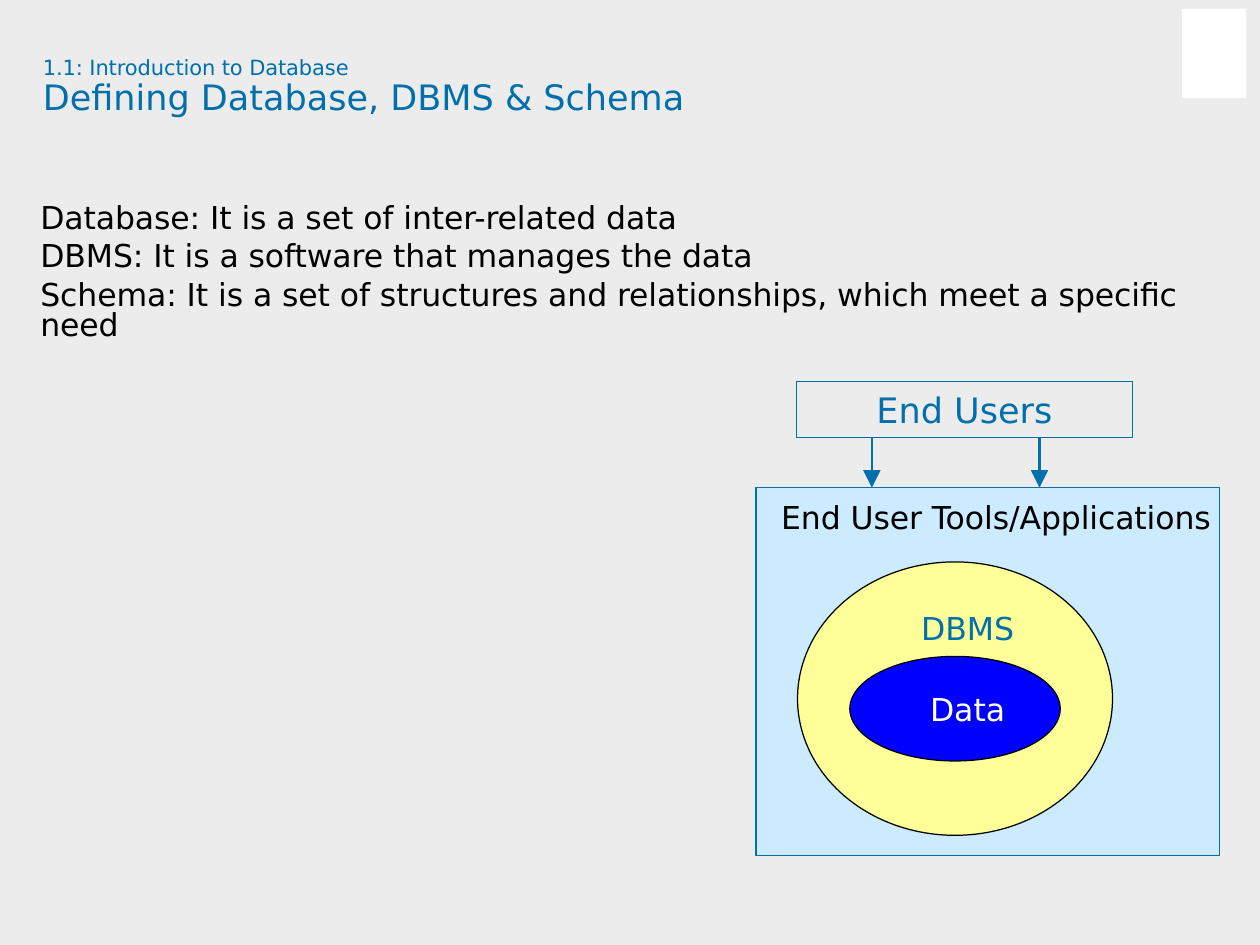
from lxml import etree
from pptx import Presentation
from pptx.dml.color import RGBColor
from pptx.enum.shapes import MSO_CONNECTOR, MSO_SHAPE
from pptx.enum.text import MSO_ANCHOR, PP_ALIGN
from pptx.oxml.ns import qn
from pptx.util import Inches, Pt

RECT, OVAL = MSO_SHAPE.RECTANGLE, MSO_SHAPE.OVAL
STRAIGHT = MSO_CONNECTOR.STRAIGHT
TOP, MIDDLE = MSO_ANCHOR.TOP, MSO_ANCHOR.MIDDLE
LEFT, CENTER = PP_ALIGN.LEFT, PP_ALIGN.CENTER

BLUE = RGBColor(0x00, 0x6F, 0xAC)
GRAY = RGBColor(0xEC, 0xEC, 0xEC)
PALE_BLUE = RGBColor(0xCC, 0xEB, 0xFF)
YELLOW = RGBColor(0xFF, 0xFF, 0x99)
DEEP_BLUE = RGBColor(0x00, 0x00, 0xFF)
BLACK = RGBColor(0x00, 0x00, 0x00)
WHITE = RGBColor(0xFF, 0xFF, 0xFF)

FONT = "DejaVu Sans"
OUTLINE = 0.72
TRACKING = "-5"

SECTION = [("1.1: Introduction to Database", {"space_before": Pt(1)})]
TITLE = [("Defining Database, DBMS & Schema", {"space_before": Pt(1.1)})]
DEFINITIONS = [
    ("Database: It is a set of inter-related data", {"space_before": Pt(1)}),
    ("DBMS: It is a software that manages the data", {"space_before": Pt(0.4)}),
    ("Schema: It is a set of structures and relationships, which meet a specific need",
     {"space_before": Pt(4.9), "line_spacing": 0.79}),
]

TEXT_BLOCKS = [
    (SECTION, (0.34, 0.42, 2.6, 0.23), 12, BLUE, TRACKING),
    (TITLE, (0.34, 0.59, 5.3, 0.36), 20, BLUE, "0"),
    (DEFINITIONS, (0.32, 1.56, 9.21, 1.18), 18, BLACK, TRACKING),
]

USERS_BOX = (6.32, 3.03, 2.67, 0.44)
TOOLS_BOX = (6, 3.87, 3.68, 2.92)
OVAL_CENTER_X = 7.58
LABEL_SHIFT = 0.1
ARROW_XS = (6.92, 8.25)


def centered_oval(top, width, height):
    return OVAL_CENTER_X - width / 2, top, width, height


DIAGRAM = [
    ("End User Tools/Applications", RECT, TOOLS_BOX, PALE_BLUE, BLUE,
     BLACK, 18, LEFT, TOP, (0.2, 0.08)),
    ("DBMS", OVAL, centered_oval(4.46, 2.5, 2.17), YELLOW, BLACK,
     BLUE, 18, CENTER, TOP, (2 * LABEL_SHIFT, 0.06)),
    ("Data", OVAL, centered_oval(5.21, 1.67, 0.83), DEEP_BLUE, BLACK,
     WHITE, 18, CENTER, MIDDLE, (2 * LABEL_SHIFT, 0)),
    ("End Users", RECT, USERS_BOX, GRAY, BLUE,
     BLUE, 20, CENTER, MIDDLE, (0, 0)),
]


def apply(target, values):
    for key, value in values.items():
        setattr(target, key, value)


def write(frame, paragraphs, size, color, tracking, wrap=True,
          anchor=TOP, inset=(0, 0.01)):
    apply(frame, {"word_wrap": wrap, "vertical_anchor": anchor,
                  "margin_left": Inches(inset[0]), "margin_top": Inches(inset[1]),
                  "margin_right": 0, "margin_bottom": 0})
    for index, (text, layout) in enumerate(paragraphs):
        paragraph = frame.add_paragraph() if index else frame.paragraphs[0]
        apply(paragraph, layout)
        run = paragraph.add_run()
        run.text = text
        apply(run.font, {"name": FONT, "size": Pt(size)})
        run.font.color.rgb = color
        run.font._element.set("spc", tracking)


def add_block(slide, kind, box, fill, line=None):
    block = slide.shapes.add_shape(kind, *map(Inches, box))
    block.shadow.inherit = False
    block.fill.solid()
    block.fill.fore_color.rgb = fill
    if line is None:
        block.line.fill.background()
    else:
        block.line.color.rgb = line
        block.line.width = Pt(OUTLINE)
    return block


def add_arrow(slide, x, top, bottom):
    arrow = slide.shapes.add_connector(
        STRAIGHT, *map(Inches, (x, top, x, bottom)))
    arrow.line.color.rgb = BLUE
    arrow.line.width = Pt(1.25)
    head = etree.SubElement(arrow.line._get_or_add_ln(), qn("a:tailEnd"))
    for key, value in {"type": "triangle", "w": "lg", "len": "lg"}.items():
        head.set(key, value)
    etree.SubElement(arrow._element.spPr, qn("a:effectLst"))


def main():
    deck = Presentation()
    apply(deck, {"slide_width": Inches(10), "slide_height": Inches(7.5)})
    slide = deck.slides.add_slide(deck.slide_layouts[6])
    slide.background.fill.solid()
    slide.background.fill.fore_color.rgb = GRAY

    add_block(slide, RECT, (9.38, 0.07, 0.51, 0.71), WHITE)

    for paragraphs, box, size, color, tracking in TEXT_BLOCKS:
        frame = slide.shapes.add_textbox(*map(Inches, box)).text_frame
        write(frame, paragraphs, size, color, tracking)

    for label, kind, box, fill, line, color, size, align, anchor, inset in DIAGRAM:
        block = add_block(slide, kind, box, fill, line)
        write(block.text_frame, [(label, {"alignment": align})], size, color,
              TRACKING if align == LEFT else "0", align != LEFT, anchor, inset)

    for x in ARROW_XS:
        add_arrow(slide, x, USERS_BOX[1] + USERS_BOX[3], TOOLS_BOX[1])

    deck.save("out.pptx")


if __name__ == "__main__":
    main()
